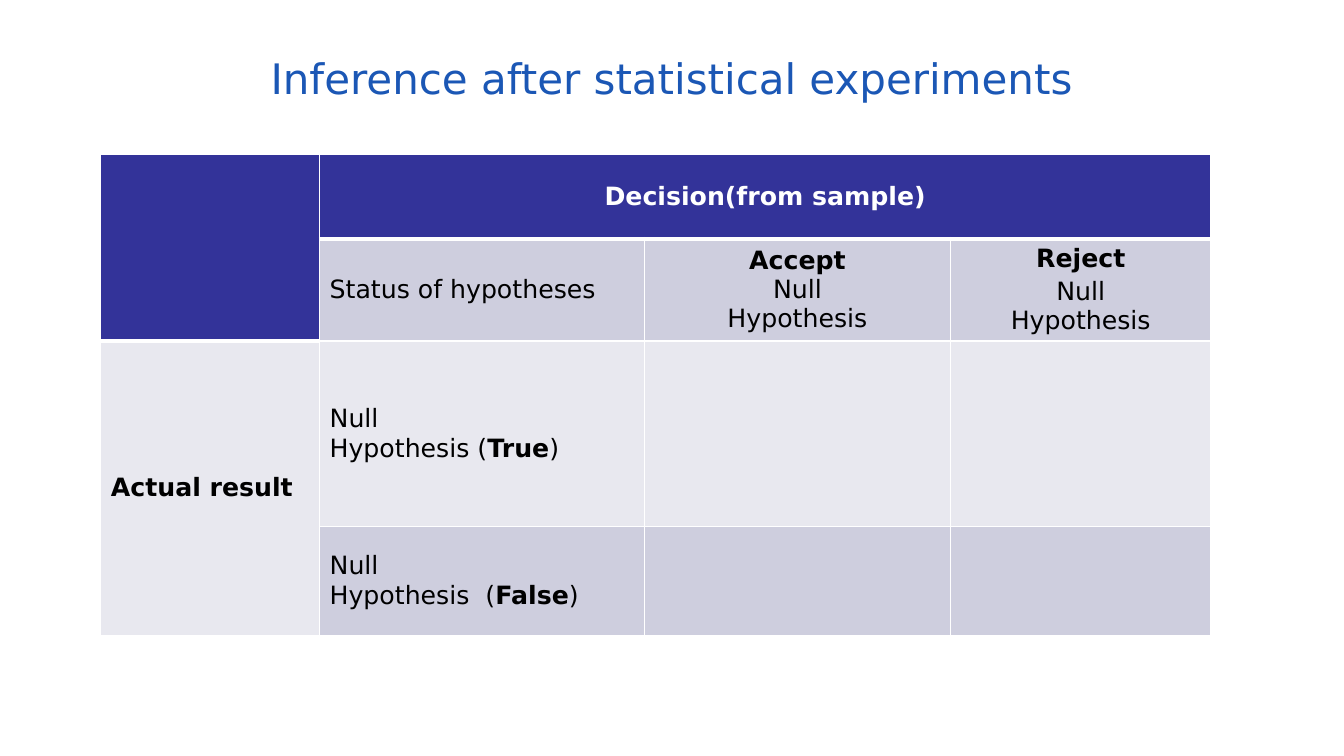
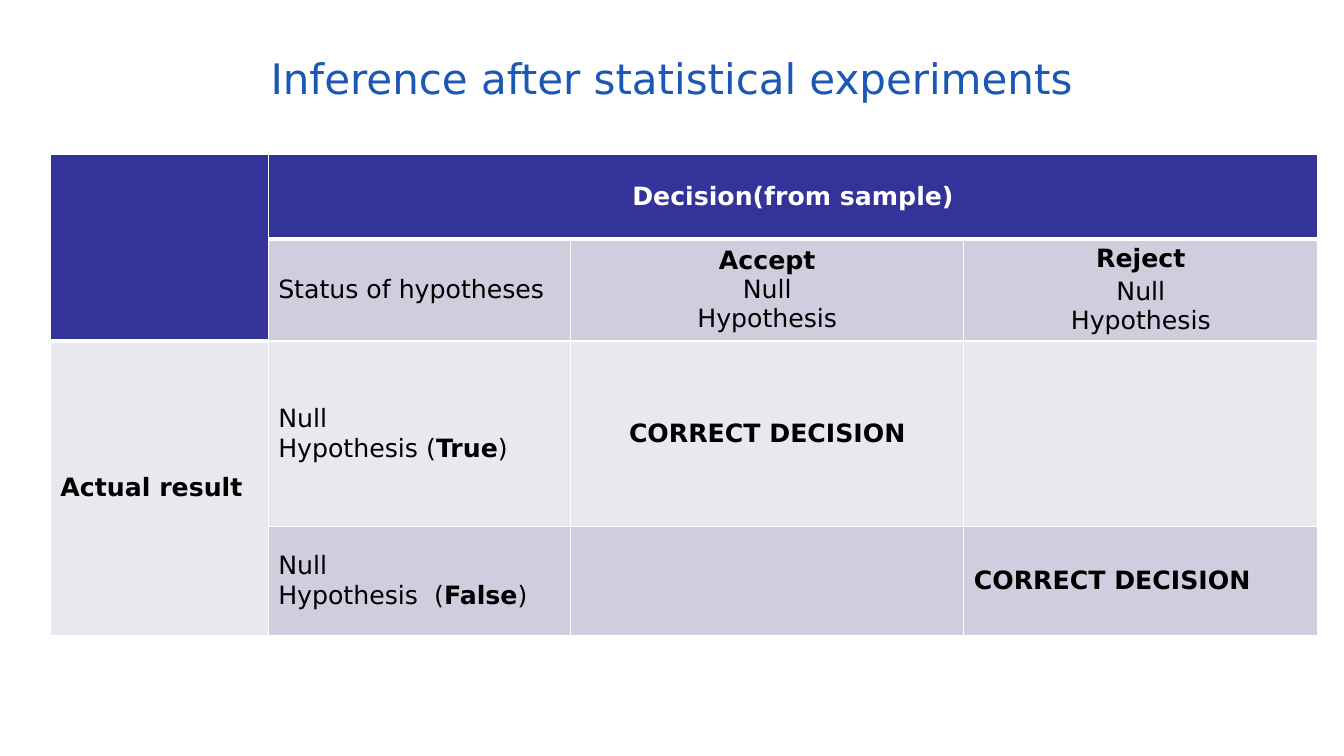
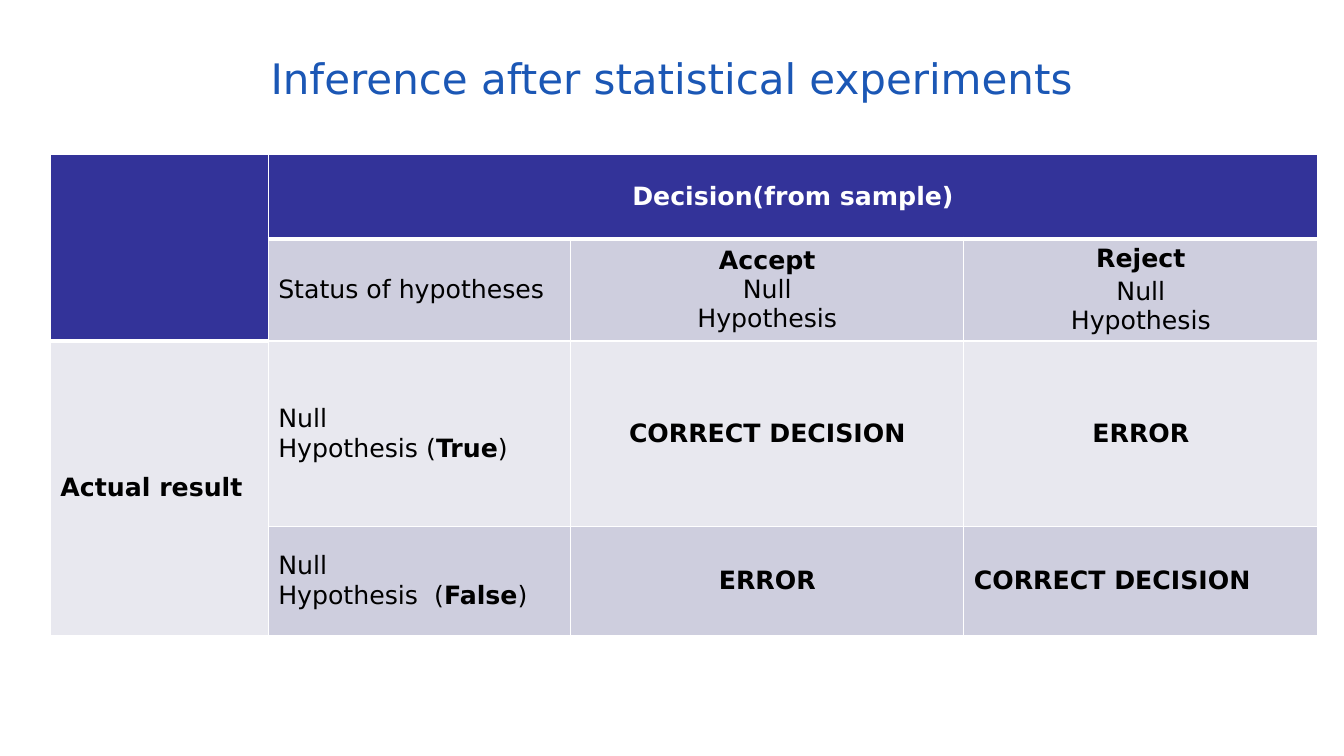
from dataclasses import dataclass

from lxml import etree
from pptx import Presentation
from pptx.dml.color import RGBColor
from pptx.enum import text
from pptx.oxml import ns
from pptx.util import Inches, Pt


@dataclass(frozen=True)
class Theme:
    font: str = "DejaVu Sans"
    title_size: int = 30
    cell_size: int = 18
    title: str = "1B57B5"
    header: str = "333399"
    dark_band: str = "CECEDE"
    light_band: str = "E8E8EF"
    ink: str = "000000"
    white: str = "FFFFFF"
    rule: float = 1
    header_rule: float = 3


T = Theme()
TITLE = "Inference after statistical experiments"
TITLE_BOX = (0.5, 0.3, 12.33, 0.95)
ROWS = (0.84, 0.99, 1.84, 1.08)
TABLE_TOP = 1.53

# Asterisks enclose bold words; each line is a paragraph
LABELS = {
    (0, 1): "*Decision(from sample)*",
    (1, 1): "Status of hypotheses",
    (1, 2): "*Accept*\nNull\nHypothesis",
    (1, 3): "*Reject*\nNull\nHypothesis",
    (2, 0): "*Actual result*",
    (2, 1): "Null\nHypothesis (*True*)",
    (3, 1): "Null\nHypothesis  (*False*)",
}
CORRECT = {(2, 2): "*CORRECT DECISION*", (3, 3): "*CORRECT DECISION*"}
ERRORS = {(2, 3): "*ERROR*", (3, 2): "*ERROR*"}
LEFT_CELLS = {(1, 1), (2, 0), (2, 1), (3, 1), (3, 3)}
SPACED_CELL = (1, 3)

# Left edge, column widths and outcomes of each slide
NARROW = (1, (2.17, 3.22, 3.04, 2.58))
WIDE = (0.5, (2.16, 3, 3.9, 3.51))
SLIDES = (
    (*NARROW, {}),
    (*WIDE, CORRECT),
    (*WIDE, CORRECT | ERRORS),
)


def rgb(color):
    return RGBColor.from_string(color)


def is_header(row, col):
    return row == 0 or (row == 1 and col == 0)


def add_title(s, box):
    sp = s.shapes.title
    sp.left, sp.top, sp.width, sp.height = map(Inches, box)
    tf = sp.text_frame
    tf.text = TITLE
    tf.vertical_anchor = text.MSO_ANCHOR.MIDDLE
    tf.margin_left = tf.margin_right = Inches(0.11)
    tf.margin_top = tf.margin_bottom = Inches(0.06)
    p = tf.paragraphs[0]
    p.alignment = text.PP_ALIGN.CENTER
    p.font.name, p.font.size = T.font, Pt(T.title_size)
    p.font.color.rgb = rgb(T.title)


def set_borders(cell, widths):
    """Draw white cell edges; they must precede the fill in the XML."""
    pr = cell._tc.get_or_add_tcPr()
    for i, (side, width) in enumerate(widths.items()):
        ln = etree.Element(ns.qn(f"a:ln{side}"), w=str(Pt(width)))
        fill = etree.SubElement(ln, ns.qn("a:solidFill"))
        etree.SubElement(fill, ns.qn("a:srgbClr"), val=T.white)
        pr.insert(i, ln)


def fill_text(cell, content, color, align, gap):
    tf = cell.text_frame
    for i, line in enumerate(content.split("\n")):
        p = tf.add_paragraph() if i else tf.paragraphs[0]
        p.alignment = align
        p.font.name, p.font.size = T.font, Pt(T.cell_size)
        if i == 1:
            p.space_before = Pt(gap)
        for j, part in enumerate(line.split("*")):
            if part:
                r = p.add_run()
                r.text = part
                r.font.bold = j % 2 == 1
                r.font.color.rgb = rgb(color)


def style_cell(cell, row, col, content):
    header = is_header(row, col)
    band = T.dark_band if row % 2 else T.light_band
    cell.fill.solid()
    cell.fill.fore_color.rgb = rgb(T.header if header else band)
    below_header = row > 0 and is_header(row - 1, col)
    set_borders(cell, {
        "L": T.rule,
        "R": T.rule,
        "T": T.header_rule if below_header else T.rule,
        "B": T.header_rule if header else T.rule,
    })
    cell.vertical_anchor = text.MSO_ANCHOR.MIDDLE
    if content:
        left = (row, col) in LEFT_CELLS
        fill_text(cell, content, T.white if header else T.ink,
                  text.PP_ALIGN.LEFT if left else text.PP_ALIGN.CENTER,
                  3 if (row, col) == SPACED_CELL else 0)


def add_decision_table(s, left, top, cols, outcomes):
    box = map(Inches, (left, top, sum(cols), sum(ROWS)))
    table = s.shapes.add_table(len(ROWS), len(cols), *box).table
    table.first_row = table.horz_banding = False
    for column, width in zip(table.columns, cols):
        column.width = Inches(width)
    for row, height in zip(table.rows, ROWS):
        row.height = Inches(height)

    # Corner, decision heading and row heading span several cells
    for start, end in (((0, 0), (1, 0)), ((0, 1), (0, 3)), ((2, 0), (3, 0))):
        table.cell(*start).merge(table.cell(*end))

    contents = LABELS | outcomes
    for row in range(len(ROWS)):
        for col in range(len(cols)):
            style_cell(table.cell(row, col), row, col, contents.get((row, col)))


def main():
    prs = Presentation()
    prs.slide_width, prs.slide_height = Inches(13.33), Inches(7.5)
    for left, cols, outcomes in SLIDES:
        s = prs.slides.add_slide(prs.slide_layouts.get_by_name("Title Only"))
        add_title(s, TITLE_BOX)
        add_decision_table(s, left, TABLE_TOP, cols, outcomes)
    prs.save("out.pptx")


if __name__ == "__main__":
    main()
